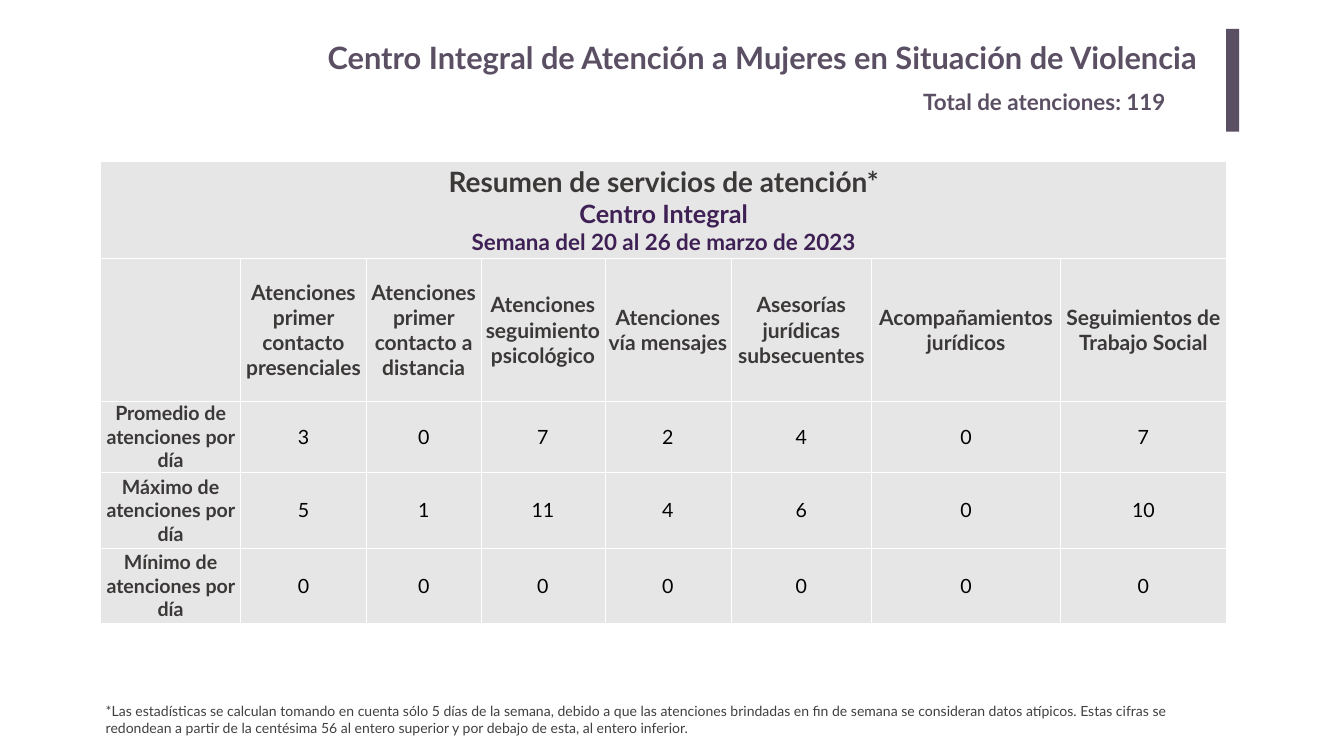
from lxml.etree import SubElement
from pptx import Presentation
from pptx.dml.color import RGBColor
from pptx.enum.shapes import MSO_SHAPE
from pptx.enum.text import MSO_ANCHOR, MSO_AUTO_SIZE, PP_ALIGN
from pptx.oxml.ns import qn
from pptx.util import Cm, Pt

TITLE = "Centro Integral de Atención a Mujeres en Situación de Violencia"
TOTAL = "Total de atenciones: 119"
FOOTNOTE = (
    "*Las estadísticas se calculan tomando en cuenta sólo 5 días de la semana, "
    "debido a que las atenciones brindadas en fin de semana se consideran datos atípicos. "
    "Estas cifras se redondean a partir de la centésima 56 al entero superior "
    "y por debajo de esta, al entero inferior."
)
PURPLE, DARK, VIOLET = "5B4F63", "3B3838", "3E2054"
BLACK, GREY, CELL, WHITE = "000000", "404040", "E7E6E6", "FFFFFF"

SUMMARY = [
    ("Resumen de servicios de atención*", 40, DARK),
    ("Centro Integral", 36, VIOLET),
    ("Semana del 20 al 26 de marzo de 2023", 32, VIOLET),
]
SERVICES = [
    "Atenciones primer contacto presenciales",
    "Atenciones primer contacto a distancia",
    "Atenciones seguimiento psicológico",
    "Atenciones vía mensajes",
    "Asesorías jurídicas subsecuentes",
    "Acompañamientos jurídicos",
    "Seguimientos de Trabajo Social",
]
STATISTICS = [
    ("Promedio de atenciones por día", [3, 0, 7, 2, 4, 0, 7]),
    ("Máximo de atenciones por día", [5, 1, 11, 4, 6, 0, 10]),
    ("Mínimo de atenciones por día", [0, 0, 0, 0, 0, 0, 0]),
]
COLUMN_WIDTHS = [7.04, 6.35, 5.77, 6.25, 6.35, 7.1, 9.5, 8.38]
ROW_HEIGHTS = [4.88, 7.19, 3.58, 3.81, 3.81]


def color(value):
    return RGBColor.from_string(value)


def set_margins(target, horizontal, vertical):
    margins = {
        "margin_left": horizontal,
        "margin_right": horizontal,
        "margin_top": vertical,
        "margin_bottom": vertical,
    }
    for name, value in margins.items():
        setattr(target, name, Cm(value))


def write(text_frame, lines, bold=True, align=PP_ALIGN.LEFT):
    text_frame.word_wrap = True
    for index, (text, size, text_color) in enumerate(lines):
        paragraph = text_frame.paragraphs[0] if index == 0 else text_frame.add_paragraph()
        paragraph.alignment = align
        run = paragraph.add_run()
        run.text = text
        for name, value in {"name": "Lato", "size": Pt(size), "bold": bold}.items():
            setattr(run.font, name, value)
        run.font.color.rgb = color(text_color)


def place(shape, left, top, width, height):
    for name, value in {"left": left, "top": top, "width": width, "height": height}.items():
        setattr(shape, name, Cm(value))


def add_text(slide, box, text, size, text_color, bold):
    shape = slide.shapes.add_textbox(*map(Cm, box))
    write(shape.text_frame, [(text, size, text_color)], bold)


def add_borders(cell):
    properties = cell._tc.get_or_add_tcPr()
    for position, side in enumerate(("lnL", "lnR", "lnT", "lnB")):
        line = SubElement(properties, qn(f"a:{side}"), w=str(Pt(1)))
        fill = SubElement(line, qn("a:solidFill"))
        SubElement(fill, qn("a:srgbClr"), val=WHITE)
        properties.insert(position, line)


def fill_cell(cell, lines, bold=True):
    cell.fill.solid()
    cell.fill.fore_color.rgb = color(CELL)
    cell.vertical_anchor = MSO_ANCHOR.MIDDLE
    set_margins(cell, 0, 0)
    add_borders(cell)
    write(cell.text_frame, lines, bold, PP_ALIGN.CENTER)


def add_summary_table(slide):
    frame = slide.shapes.add_table(
        len(ROW_HEIGHTS), len(COLUMN_WIDTHS),
        Cm(5.08), Cm(8.15), Cm(sum(COLUMN_WIDTHS)), Cm(sum(ROW_HEIGHTS)),
    )
    table = frame.table
    for column, width in zip(table.columns, COLUMN_WIDTHS):
        column.width = Cm(width)
    for row, height in zip(table.rows, ROW_HEIGHTS):
        row.height = Cm(height)

    table.cell(0, 0).merge(table.cell(0, len(COLUMN_WIDTHS) - 1))
    fill_cell(table.cell(0, 0), SUMMARY)
    fill_cell(table.cell(1, 0), [])
    for column, service in enumerate(SERVICES, 1):
        fill_cell(table.cell(1, column), [(service, 30, DARK)])
    for row, (label, values) in enumerate(STATISTICS, 2):
        fill_cell(table.cell(row, 0), [(label, 28, DARK)])
        for column, value in enumerate(values, 1):
            fill_cell(table.cell(row, column), [(str(value), 28, BLACK)], bold=False)


def main():
    presentation = Presentation()
    presentation.slide_width, presentation.slide_height = Cm(67.74), Cm(38.1)
    slide = presentation.slides.add_slide(presentation.slide_layouts[5])

    add_summary_table(slide)

    title = slide.shapes.title
    place(title, 9.3, 1.7, 51.56, 2.59)
    title.text_frame.auto_size = MSO_AUTO_SIZE.NONE
    title.text_frame.vertical_anchor = MSO_ANCHOR.TOP
    set_margins(title.text_frame, 0.5, 0.25)
    write(title.text_frame, [(TITLE, 44, PURPLE)], align=PP_ALIGN.RIGHT)

    accent = slide.shapes.add_shape(MSO_SHAPE.RECTANGLE, Cm(61.8), Cm(1.45), Cm(0.66), Cm(5.18))
    accent.shadow.inherit = False
    accent.fill.solid()
    accent.fill.fore_color.rgb = color(PURPLE)
    accent.line.fill.background()

    add_text(slide, (46.28, 4.34, 15.04, 1.63), TOTAL, 32, PURPLE, True)
    add_text(slide, (5.08, 35.3, 56.72, 1.96), FOOTNOTE, 20, GREY, False)

    presentation.save("out.pptx")


if __name__ == "__main__":
    main()
